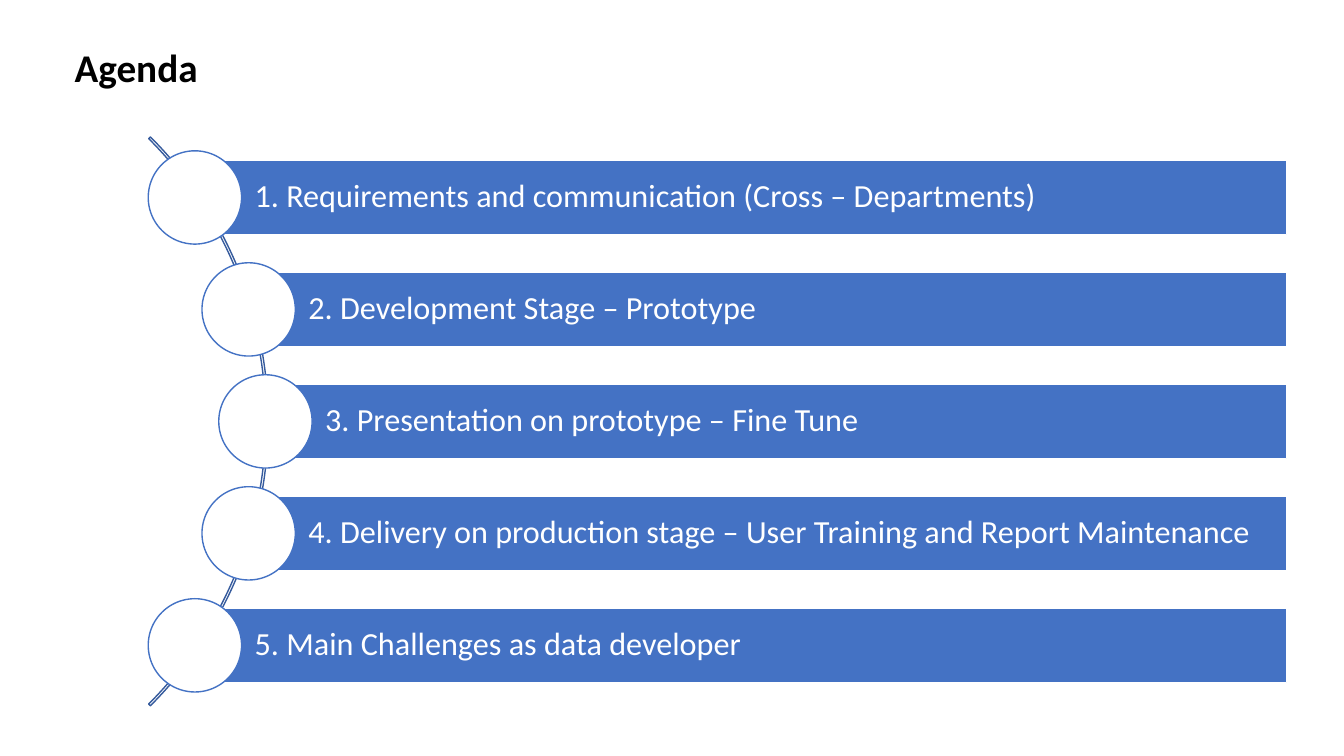
import pptx
import pptx.util
import pptx.dml.color
import pptx.enum.shapes
import pptx.enum.text

COLORS = {"black": "000000", "white": "FFFFFF", "blue": "4472C4", "navy": "365B9D"}
FONT = "Calibri"
COLS = 36  # square cells, so rows are as high as columns are wide
SHAPE = pptx.enum.shapes.MSO_SHAPE

# Each step with the column of its circle's centre
STEPS = [
    ("1. Requirements and communication (Cross – Departments)", 5.22),
    ("2. Development Stage – Prototype", 6.66),
    ("3. Presentation on prototype – Fine Tune", 7.11),
    ("4. Delivery on production stage – User Training and Report Maintenance", 6.66),
    ("5. Main Challenges as data developer", 5.22),
]
MID = 11.29    # row of the middle step
PITCH = 3      # rows from step to step
BAR = 2        # bar height
DOT = 2.5      # circle diameter
RIGHT = 34.47  # right edge of the bars
ARC = 21.55    # arc diameter
HUB = -3.59    # column of the arc's centre


def color(name):
    return pptx.dml.color.RGBColor.from_string(COLORS[name])


def write(frame, text, size=23, fill="white", bold=False):
    frame.word_wrap = True
    frame.vertical_anchor = pptx.enum.text.MSO_ANCHOR.MIDDLE
    para = frame.paragraphs[0]
    para.alignment = pptx.enum.text.PP_ALIGN.LEFT
    para.line_spacing = 0.9
    run = para.add_run()
    run.text = text
    font = run.font
    font.name, font.size, font.bold = FONT, pptx.util.Pt(size), bold
    font.color.rgb = color(fill)


class Deck:
    def __init__(self):
        self.prs = pptx.Presentation()
        self.prs.slide_width = pptx.util.Inches(13.33)
        self.prs.slide_height = pptx.util.Inches(7.5)
        self.cell = self.prs.slide_width / COLS
        self.slide = self.prs.slides.add_slide(self.prs.slide_layouts[5])

    def span(self, *cells):
        return [round(n * self.cell) for n in cells]

    def title(self, text, *box):
        shape = self.slide.shapes.title
        shape.left, shape.top, shape.width, shape.height = self.span(*box)
        write(shape.text_frame, text, size=28, fill="black", bold=True)

    def shape(self, kind, box, line, fill=None):
        item = self.slide.shapes.add_shape(kind, *self.span(*box))
        item.shadow.inherit = False
        if fill:
            item.fill.solid()
            item.fill.fore_color.rgb = color(fill)
        else:
            item.fill.background()
        item.line.color.rgb = color(line)
        item.line.width = pptx.util.Pt(1)
        return item

    def arc(self, x, y, size):
        box = (x - size / 2, y - size / 2, size, size)
        item = self.shape(SHAPE.BLOCK_ARC, box, "navy")
        # Start angle, end angle, thickness
        for i, value in enumerate((189, 27, 0.003)):
            item.adjustments[i] = value

    def bar(self, x, y, text):
        box = (x, y - BAR / 2, RIGHT - x, BAR)
        frame = self.shape(SHAPE.RECTANGLE, box, "white", "blue").text_frame
        frame.margin_left, pad = self.span(1.6, 0.16)
        frame.margin_top = frame.margin_right = frame.margin_bottom = pad
        write(frame, text)

    def dot(self, x, y):
        box = (x - DOT / 2, y - DOT / 2, DOT, DOT)
        self.shape(SHAPE.OVAL, box, "blue", "white")


def main():
    deck = Deck()
    deck.title("Agenda", 1.73, 0.95, 31.05, 1.86)

    # Curve behind the steps
    deck.arc(HUB, MID, ARC)

    # Steps, evenly spaced about the middle row
    for i, (text, x) in enumerate(STEPS):
        y = MID + (i - len(STEPS) // 2) * PITCH
        deck.bar(x, y, text)
        deck.dot(x, y)

    deck.prs.save("out.pptx")


if __name__ == "__main__":
    main()
